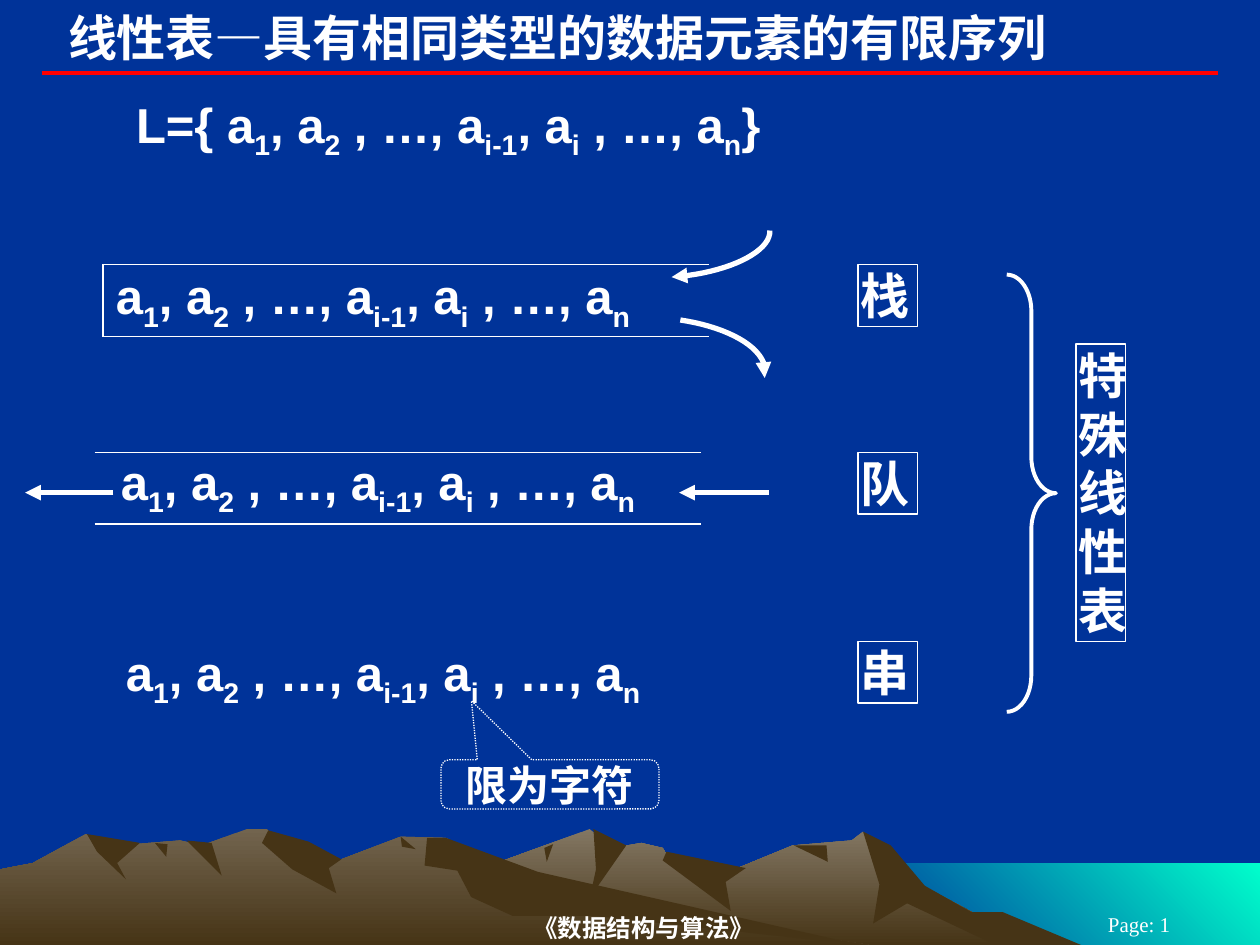
from lxml import etree
from pptx import Presentation
from pptx.dml.color import RGBColor
from pptx.enum.dml import MSO_LINE_DASH_STYLE as DASH
from pptx.enum.shapes import MSO_CONNECTOR, MSO_SHAPE as SHAPE
from pptx.enum.text import MSO_ANCHOR as ANCHOR, PP_ALIGN as ALIGN
from pptx.oxml.ns import qn
from pptx.util import Inches, Pt

NAVY = RGBColor(0x00, 0x33, 0x99)
WHITE = RGBColor(0xFF, 0xFF, 0xFF)
RED = RGBColor(0xFF, 0x00, 0x00)
AQUA = RGBColor(0x00, 0xFF, 0xCC)
ROCK = RGBColor(0x46, 0x34, 0x16)
STONE = RGBColor(0x83, 0x77, 0x63)
EARTH = RGBColor(0x72, 0x64, 0x4E)

# Scenery, back to front: (fill, outline); a gradient fill is (first, last, angle).
SCENERY = [
    ((AQUA, NAVY, 225), [(6.83, 6.85), (10, 6.85), (10, 7.5), (6.83, 7.5)]),
    ((STONE, ROCK, 270), [
        (8.2, 7.5), (7.23, 6.98), (6.85, 6.6), (6.76, 6.67), (6.29, 6.71), (5.66, 6.97),
        (5.36, 6.9), (5.26, 6.73), (5.09, 6.69), (4.86, 6.73), (4.68, 6.58), (3.94, 6.85),
        (2.58, 7.5)]),
    (ROCK, [(6.85, 6.6), (7.07, 6.71), (7.34, 7.03), (7.71, 7.24), (7.96, 7.24), (8.58, 7.5),
            (7.9, 7.5), (7.2, 7.17), (6.93, 7.33), (6.98, 7.02)]),
    (ROCK, [(4.71, 6.58), (4.97, 6.71), (4.74, 7.04), (4.65, 7.27), (4.73, 6.9)]),
    (ROCK, [(5.29, 6.76), (5.26, 6.83), (5.8, 7.23), (5.76, 7), (5.92, 6.89)]),
    (ROCK, [(6.3, 6.71), (6.56, 6.71), (6.57, 6.84)]),
    (ROCK, [(4.32, 6.73), (4.39, 6.7), (4.34, 6.84)]),
    ((EARTH, ROCK, 270), [
        (6.9, 7.5), (4.32, 7.12), (3.54, 6.65), (3.18, 6.64), (2.71, 6.82), (2.36, 6.81),
        (2.12, 6.58), (1.96, 6.58), (1.6, 6.71), (1.43, 6.67), (0.94, 6.71), (0.68, 6.62),
        (0.26, 6.85), (0, 6.9), (0, 7.5)]),
    (ROCK, [(2.13, 6.59), (2.45, 6.68), (2.71, 6.82), (2.61, 6.89), (2.67, 7.09),
            (2.32, 6.9), (2.08, 6.69)]),
    (ROCK, [(3.39, 6.65), (3.54, 6.65), (4.27, 6.92), (6.83, 7.5), (4.72, 7.27), (4.07, 7.27),
            (3.74, 7.12), (3.63, 6.91), (3.37, 6.87)]),
    (ROCK, [(3.18, 6.64), (3.3, 6.74), (3.19, 6.72)]),
    (ROCK, [(1.48, 6.67), (1.68, 6.69), (1.76, 6.95)]),
    (ROCK, [(1.23, 6.69), (1.33, 6.7), (1.32, 6.8)]),
    (ROCK, [(0.69, 6.62), (1.11, 6.69), (0.93, 6.85), (1, 6.98), (0.77, 6.76)]),
]

# Text between bars is subscript.
ITEMS = "a|1|, a|2| , …, a|i-1|, a|i| , …, a|n"
SEQUENCES = [
    ("L={ " + ITEMS + "|}", (1.06, 0.74, 5.39, 0.56)),
    (ITEMS, (0.9, 2.1, 4.37, 0.56)),
    (ITEMS, (0.94, 3.57, 4.37, 0.56)),
    (ITEMS, (0.98, 5.09, 4.37, 0.56)),
]
LABELS = [
    ("栈", (6.81, 2.1, 0.47, 0.49)),
    ("队", (6.81, 3.59, 0.47, 0.49)),
    ("串", (6.81, 5.09, 0.47, 0.49)),
    ("特\n殊\n线\n性\n表", (8.54, 2.73, 0.39, 2.36)),
]
FRAMES = [("LTB", (0.82, 2.1, 4.81, 0.57)), ("TB", (0.75, 3.59, 4.81, 0.57))]
# Cubic Bézier points; the arrowhead is at the last one.
STACK_CURVES = [
    [(6.11, 1.83), (6.12, 2), (5.77, 2.17), (5.33, 2.2)],
    [(5.4, 2.54), (5.8, 2.6), (6.12, 2.78), (6.07, 3)],
]
QUEUE_ARROWS = [((6.1, 3.91), (5.39, 3.91)), ((0.9, 3.91), (0.2, 3.91))]


def write(shape, text, size=28, font="Arial", bold=True, align=ALIGN.LEFT,
          anchor=ANCHOR.TOP, margins=(0.02, 0.01, 0.02, 0.01)):
    frame = shape.text_frame
    frame.word_wrap, frame.vertical_anchor = True, anchor
    (frame.margin_left, frame.margin_top,
     frame.margin_right, frame.margin_bottom) = map(Inches, margins)
    for row, line in enumerate(text.split("\n")):
        para = frame.paragraphs[0] if row == 0 else frame.add_paragraph()
        para.alignment = align
        for index, part in enumerate(line.split("|")):
            span = para.add_run()
            span.text = part
            span.font.size, span.font.name, span.font.bold = Pt(size), font, bold
            span.font.color.rgb = WHITE
            if index % 2:
                span.font._element.set("baseline", "-25000")


def add_text(place, text, **style):
    write(page.shapes.add_textbox(*map(Inches, place)), text, **style)


def add_shape(kind, place, width):
    shape = page.shapes.add_shape(kind, *map(Inches, place))
    shape.shadow.inherit = False
    shape.fill.background()
    shape.line.color.rgb, shape.line.width = WHITE, Pt(width)
    return shape


def add_outline(points, close):
    start, *rest = [(Inches(x), Inches(y)) for x, y in points]
    builder = page.shapes.build_freeform(*start, scale=1.0)
    builder.add_line_segments(rest, close=close)
    shape = builder.convert_to_shape()
    shape.shadow.inherit = False
    return shape


def add_line(start, end, color, width):
    line = page.shapes.add_connector(MSO_CONNECTOR.STRAIGHT, *map(Inches, start + end))
    line.line.color.rgb, line.line.width = color, Pt(width)
    etree.SubElement(line._element.spPr, qn("a:effectLst"))
    return line


def add_arrowhead(shape):
    etree.SubElement(shape.line._get_or_add_ln(), qn("a:tailEnd"), type="triangle")


def add_curved_arrow(knots, steps=20):
    points = []
    for step in range(steps + 1):
        t = step / steps
        weights = (1 - t) ** 3, 3 * t * (1 - t) ** 2, 3 * t * t * (1 - t), t ** 3
        points.append([sum(w * value for w, value in zip(weights, axis))
                       for axis in zip(*knots)])
    curve = add_outline(points, close=False)
    curve.fill.background()
    curve.line.color.rgb, curve.line.width = WHITE, Pt(3)
    add_arrowhead(curve)


def add_frame(sides, place):
    """Add a one-cell table with lines on the given sides only."""
    table = page.shapes.add_table(1, 1, *map(Inches, place)).table
    table.first_row = table.horz_banding = False
    cell = table.cell(0, 0)
    cell.fill.background()
    for index, side in enumerate("LRTB"):
        border = etree.Element(qn("a:ln" + side), w=str(Pt(1.08)))
        if side in sides:
            fill = etree.SubElement(border, qn("a:solidFill"))
            etree.SubElement(fill, qn("a:srgbClr"), val=str(WHITE))
        else:
            etree.SubElement(border, qn("a:noFill"))
        cell._tc.get_or_add_tcPr().insert(index, border)


deck = Presentation()
deck.slide_width, deck.slide_height = Inches(10), Inches(7.5)
page = deck.slides.add_slide(deck.slide_layouts[6])
page.background.fill.solid()
page.background.fill.fore_color.rgb = NAVY

for paint, points in SCENERY:
    land = add_outline(points, close=True)
    land.line.fill.background()
    if isinstance(paint, RGBColor):
        land.fill.solid()
        land.fill.fore_color.rgb = paint
    else:
        land.fill.gradient()
        land.fill.gradient_angle = paint[2]
        for stop, color in zip(land.fill.gradient_stops, paint):
            stop.color.rgb = color

add_line((0.33, 0.58), (9.67, 0.58), RED, 2.25)
add_text((2.08, 7.22, 6.06, 0.28), "《数据结构与算法》", size=14, font="Times New Roman",
         align=ALIGN.CENTER, anchor=ANCHOR.MIDDLE, margins=(0, 0.01, 0, 0.01))
add_text((8.25, 7.25, 1.58, 0.17), "Page: 1", size=12, font="Times New Roman", bold=False,
         align=ALIGN.CENTER, anchor=ANCHOR.MIDDLE, margins=(0.1, 0.05, 0.1, 0.05))
add_text((0, 0.05, 10, 0.49), "线性表—具有相同类型的数据元素的有限序列",
         margins=(0.54, 0.01, 0.02, 0.01))

for text, place in LABELS:
    write(add_shape(SHAPE.RECTANGLE, place, 0.75), text)
brace = add_shape(SHAPE.RIGHT_BRACE, (7.99, 2.18, 0.39, 3.47), 2.25)
brace.adjustments[0] = 0.74
for text, place in SEQUENCES:
    add_text(place, text)
for sides, place in FRAMES:
    add_frame(sides, place)

callout = add_shape(SHAPE.ROUNDED_RECTANGULAR_CALLOUT, (3.5, 6.03, 1.73, 0.39), 0.75)
callout.fill.solid()
callout.fill.fore_color.rgb = NAVY
callout.line.dash_style = DASH.ROUND_DOT
for index, value in enumerate((-0.36, -1.7, 0.17)):
    callout.adjustments[index] = value
write(callout, "限为字符", size=24, align=ALIGN.CENTER, anchor=ANCHOR.MIDDLE,
      margins=(0.1, 0.05, 0.1, 0.05))

for curve in STACK_CURVES:
    add_curved_arrow(curve)
for start, end in QUEUE_ARROWS:
    add_arrowhead(add_line(start, end, WHITE, 3))
deck.save("out.pptx")
